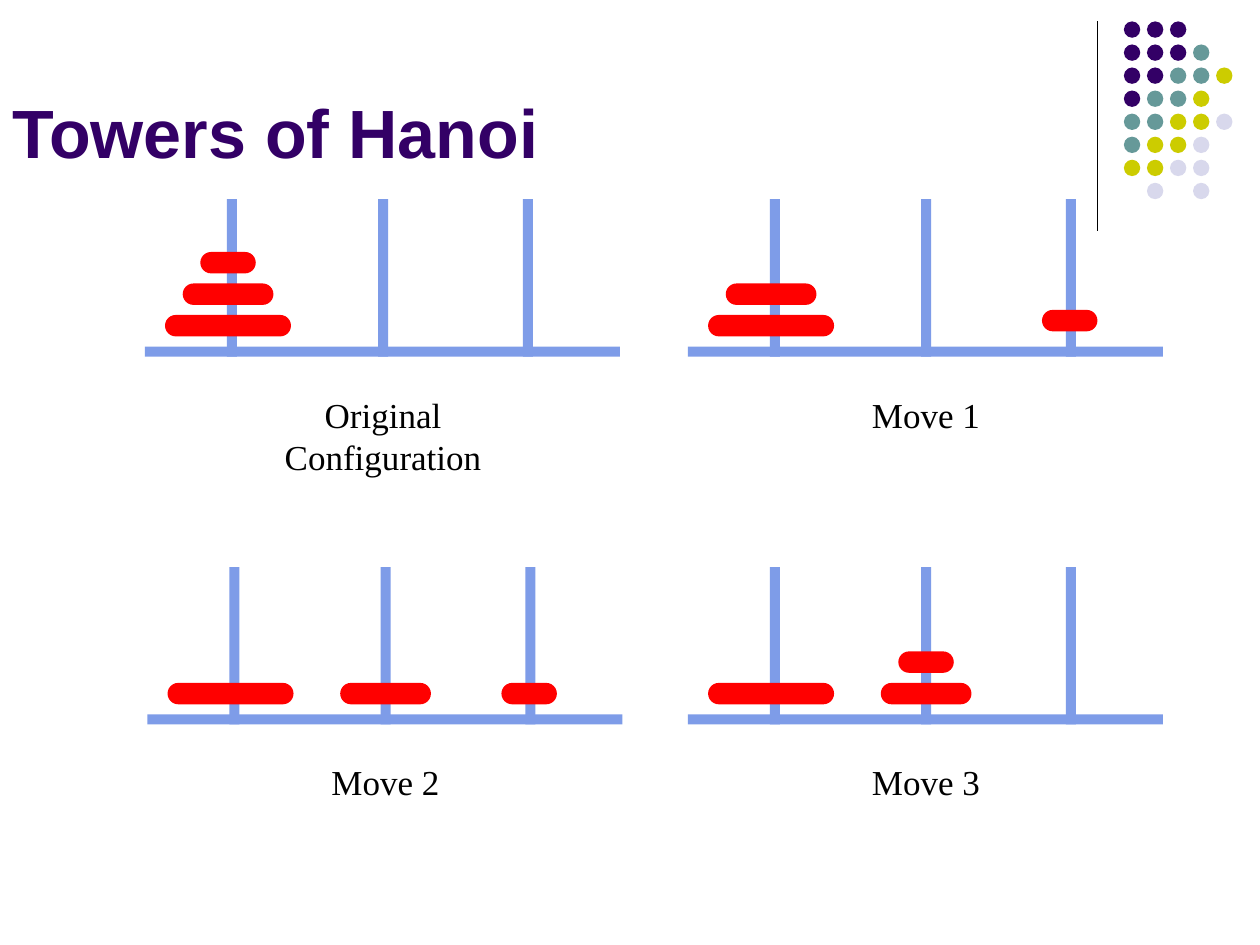
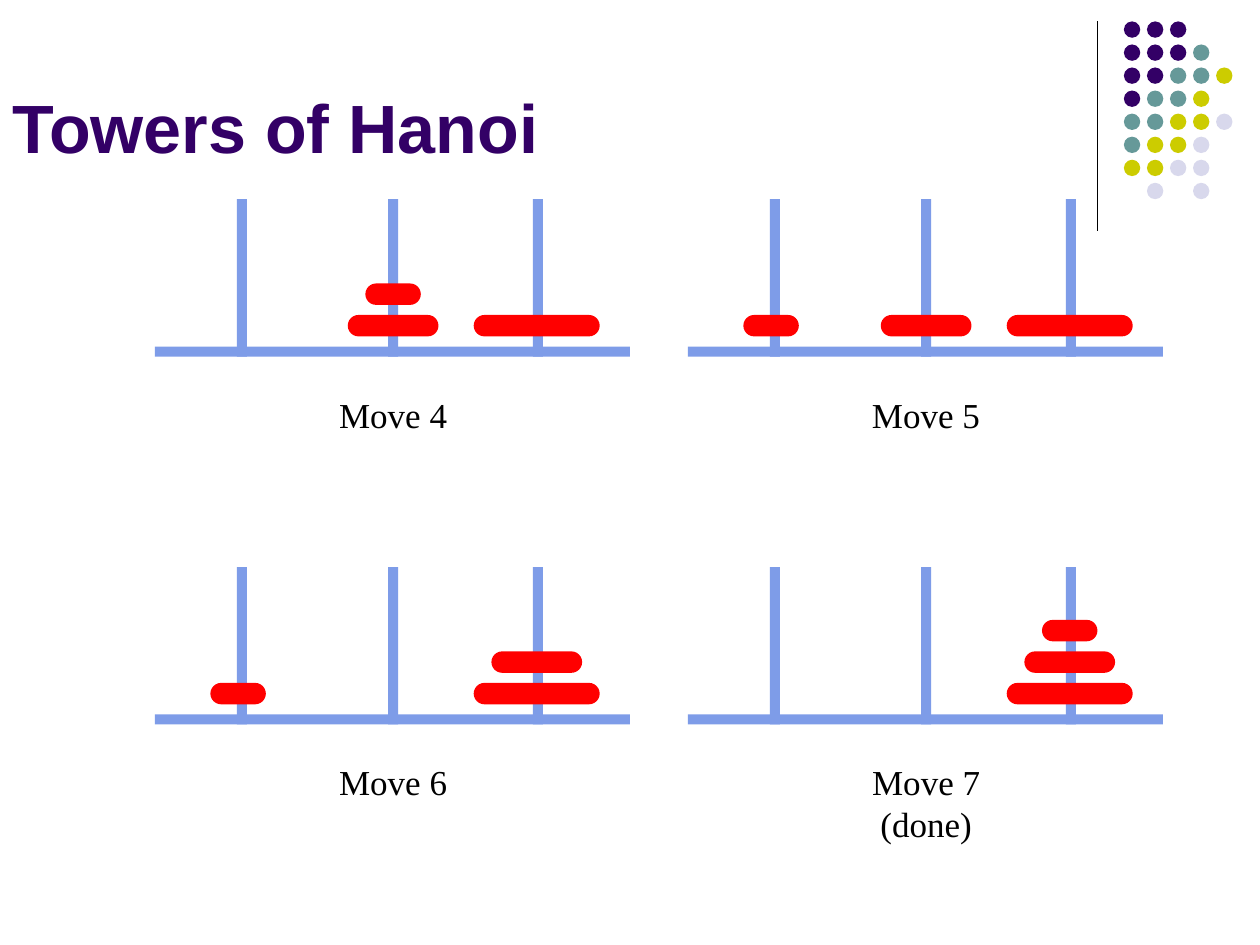
from dataclasses import dataclass

from lxml import etree
from pptx import Presentation
from pptx.dml.color import RGBColor
from pptx.enum import shapes, text
from pptx.oxml.ns import qn
from pptx.util import Inches, Pt


@dataclass(frozen=True)
class Theme:
    title_font: str = "Arial"
    title_size: float = 39
    title_color: str = "330066"
    caption_font: str = "Times New Roman"
    caption_size: float = 20
    ink: str = "000000"
    wood: str = "7E9CE8"
    disc: str = "FF0000"


THEME = Theme()

# Content: each tower has a caption, caption width, left edge, row and discs.
# A disc is (size, peg, level) with an optional drop below its level.
SLIDES = [
    {"title": "Towers of Hanoi", "title_top": 0, "towers": [
        ("Original Configuration", 2.74, 1.15, 0,
         [("large", 0, 0), ("medium", 0, 1), ("small", 0, 2)]),
        ("Move 1", 1.06, 5.46, 0,
         [("large", 0, 0), ("medium", 0, 1), ("small", 2, 0, -0.04)]),
        ("Move 2", 1.06, 1.17, 1,
         [("large", 0, 0), ("medium", 1, 0), ("small", 2, 0)]),
        ("Move 3", 1.06, 5.46, 1,
         [("large", 0, 0), ("medium", 1, 0), ("small", 1, 1)]),
    ]},
    {"title": "Towers of Hanoi", "title_top": -0.04, "towers": [
        ("Move 4", 1.06, 1.23, 0,
         [("large", 2, 0), ("medium", 1, 0), ("small", 1, 1)]),
        ("Move 5", 1.06, 5.46, 0,
         [("large", 2, 0), ("medium", 1, 0), ("small", 0, 0)]),
        ("Move 6", 1.06, 1.23, 1,
         [("large", 2, 0), ("medium", 2, 1), ("small", 0, 0)]),
        ("Move 7 (done)", 1.85, 5.46, 1,
         [("large", 2, 0), ("medium", 2, 1), ("small", 2, 2)]),
    ]},
]

# Corner dots: one letter a dot, a space where there is none
DOT_ROWS = ["PPP", "PPPT", "PPTTY", "PTTY", "TTYYL", "TYYL", "YYLL", " L L"]
DOT_COLORS = {"P": "330066", "T": "669999", "Y": "CCCC00", "L": "D8D8EC"}
DOT_LEFT, DOT_TOP, DOT_STEP, DOT_SIZE = 8.92, 0.17, 0.183, 0.13

# Tower geometry, measured from the base's left edge and the pegs' top
ROW_TOPS = (1.58, 4.5)
PEG_CENTERS = (0.69, 1.89, 3.04)
DISC_CENTERS = (0.66, 1.89, 3.03)
DISC_WIDTHS = {"large": 1, "medium": 0.72, "small": 0.44}
DISC_HEIGHT, DISC_STEP = 0.17, 0.25
BASE_WIDTH, BAR, PEG_HEIGHT = 3.77, 0.08, 1.25
BASE_DROP, CAPTION_DROP, CAPTION_HEIGHT = 1.17, 1.49, 0.43


def add_solid(parent, kind, left, top, width, height, color):
    """Add a plain filled shape without outline or shadow."""
    shape = parent.shapes.add_shape(
        kind, Inches(left), Inches(top), Inches(width), Inches(height))
    shape.shadow.inherit = False
    shape.fill.solid()
    shape.fill.fore_color.rgb = RGBColor.from_string(color)
    shape.line.fill.background()
    return shape


def write(frame, words, font, size, color, align, bold=False):
    para = frame.paragraphs[0]
    para.alignment = align
    span = para.add_run()
    span.text = words
    span.font.name = font
    span.font.size = Pt(size)
    span.font.bold = bold
    span.font.color.rgb = RGBColor.from_string(color)


def add_decoration(page):
    """Add the corner rule and the grid of dots."""
    rule = page.shapes.add_connector(
        shapes.MSO_CONNECTOR.STRAIGHT,
        Inches(8.71), Inches(0.17), Inches(8.71), Inches(1.83))
    rule.line.width = Pt(0.75)
    rule.line.color.rgb = RGBColor.from_string(THEME.ink)
    etree.SubElement(rule.element.spPr, qn("a:effectLst"))

    dots = page.shapes.add_group_shape()
    for row, letters in enumerate(DOT_ROWS):
        for column, letter in enumerate(letters):
            if letter in DOT_COLORS:
                add_solid(dots, shapes.MSO_SHAPE.OVAL,
                          DOT_LEFT + column * DOT_STEP,
                          DOT_TOP + row * DOT_STEP,
                          DOT_SIZE, DOT_SIZE, DOT_COLORS[letter])


def add_title(page, words, top):
    title = page.shapes.title
    title.left, title.top = Inches(0), Inches(top)
    title.width, title.height = Inches(8.25), Inches(1.42)
    frame = title.text_frame
    frame.auto_size = text.MSO_AUTO_SIZE.NONE
    frame.vertical_anchor = text.MSO_ANCHOR.BOTTOM
    write(frame, words, THEME.title_font, THEME.title_size,
          THEME.title_color, text.PP_ALIGN.LEFT, bold=True)


def add_tower(page, caption, caption_width, left, row, discs):
    top = ROW_TOPS[row]
    base_top = top + BASE_DROP
    tower = page.shapes.add_group_shape()

    # Base and pegs
    add_solid(tower, shapes.MSO_SHAPE.RECTANGLE,
              left, base_top, BASE_WIDTH, BAR, THEME.wood)
    for center in PEG_CENTERS:
        add_solid(tower, shapes.MSO_SHAPE.RECTANGLE,
                  left + center - BAR / 2, top, BAR, PEG_HEIGHT, THEME.wood)

    # Discs, stacked upwards from the base
    for size, peg, level, *drop in discs:
        width = DISC_WIDTHS[size]
        disc = add_solid(tower, shapes.MSO_SHAPE.ROUNDED_RECTANGLE,
                         left + DISC_CENTERS[peg] - width / 2,
                         base_top - (level + 1) * DISC_STEP + sum(drop),
                         width, DISC_HEIGHT, THEME.disc)
        disc.adjustments[0] = 0.5

    # Caption, centred under the middle peg
    box = tower.shapes.add_textbox(
        Inches(left + PEG_CENTERS[1] - caption_width / 2),
        Inches(top + CAPTION_DROP),
        Inches(caption_width), Inches(CAPTION_HEIGHT))
    box.text_frame.word_wrap = caption_width > 2
    write(box.text_frame, caption, THEME.caption_font, THEME.caption_size,
          THEME.ink, text.PP_ALIGN.CENTER)


deck = Presentation()
deck.slide_width, deck.slide_height = Inches(10), Inches(7.5)
title_only = deck.slide_layouts.get_by_name("Title Only")

for content in SLIDES:
    page = deck.slides.add_slide(title_only)
    add_decoration(page)
    add_title(page, content["title"], content["title_top"])
    for tower in content["towers"]:
        add_tower(page, *tower)

deck.save("out.pptx")
